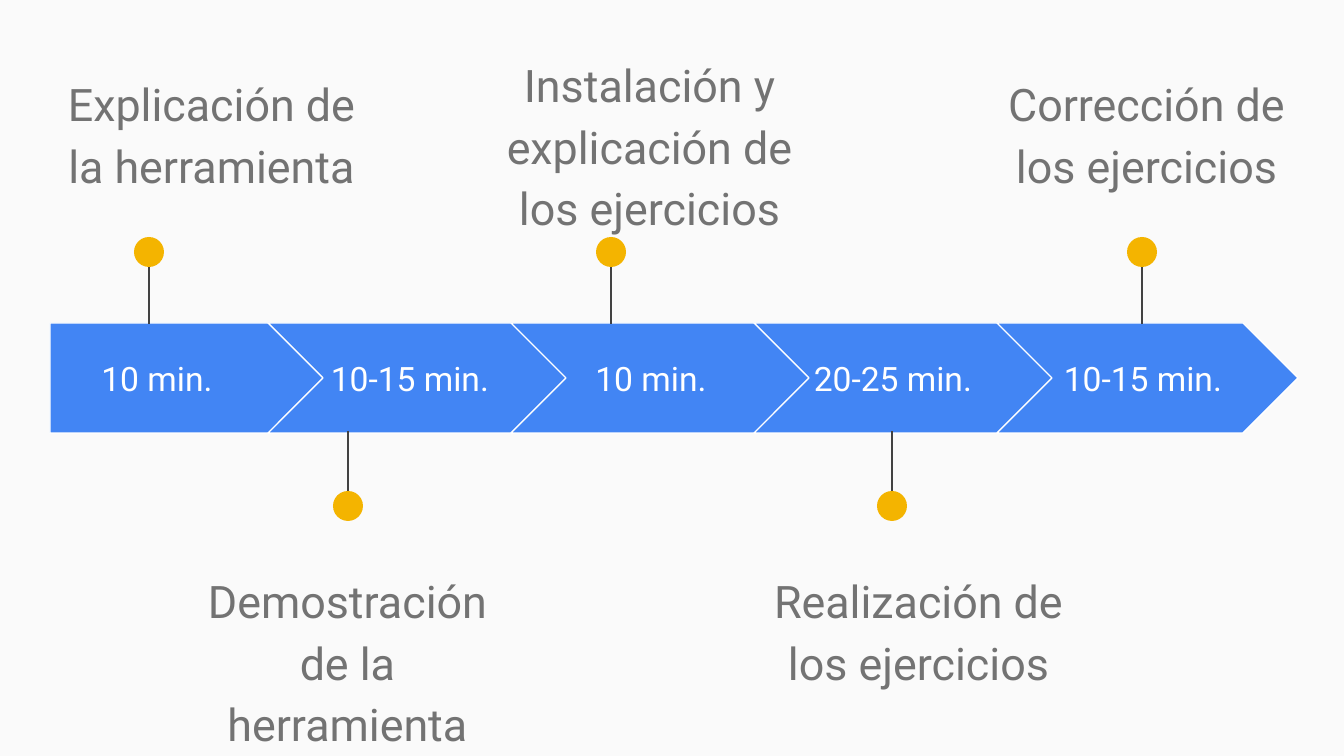
from pptx import Presentation, util as u
from pptx.dml.color import RGBColor
from pptx.enum import shapes, text
from pptx.oxml.ns import qn
from lxml import etree

THEME = dict(
    font="Roboto", background="FAFAFA", arrow="4285F4", edge="FFFFFF",
    stem="424242", dot="F4B400", time="FFFFFF", caption="737373",
    time_size=18, caption_size=24, line_width=0.75,
)

# duration, its left and width, stem x, caption, caption left and top (px)
STEPS = [
    ("10 min.", 50, 214, 149, "Explicación de la herramienta", 47, 55),
    ("10-15 min.", 313, 194, 348, "Demostración de la herramienta", 183, 552),
    ("10 min.", 554, 194, 611, "Instalación y explicación de los ejercicios", 485, 36),
    ("20-25 min.", 796, 194, 892, "Realización de los ejercicios", 754, 552),
    ("10-15 min.", 1046, 194, 1142, "Corrección de los ejercicios", 982, 55),
]

SLIDE_W, SLIDE_H = 1344, 756
BAND_TOP, BAND_H = 323, 110
FIRST_LEFT, FIRST_W = 50, 276
CHEVRON_LEFT, CHEVRON_W, CHEVRON_PITCH = 268, 301, 243
TIME_TOP, TIME_H = 344, 69
CAPTION_W, CAPTION_H = 329, 133
DOT, DOT_TOP_ABOVE, DOT_TOP_BELOW = 30, 237, 491
STEM_ABOVE, STEM_BELOW = (242, 324), (513, 431)


def px(*lengths):
    """Turn pixel lengths into EMU."""
    return [round(length * 914400 / 134.4) for length in lengths]


def color(part):
    return RGBColor.from_string(THEME[part])


def add_filled(parent, kind, box, fill, edge=None):
    shape = parent.add_shape(kind, *px(*box))
    shape.shadow.inherit = False
    shape.fill.solid()
    shape.fill.fore_color.rgb = color(fill)
    if edge:
        shape.line.color.rgb = color(edge)
        shape.line.width = u.Pt(THEME["line_width"])
    else:
        shape.line.fill.background()
    return shape


def add_label(parent, words, box, part, anchor):
    frame = parent.add_textbox(*px(*box)).text_frame
    frame.word_wrap = True
    frame.vertical_anchor = anchor
    frame.margin_left = frame.margin_right = u.Inches(0.1)
    frame.margin_top = frame.margin_bottom = u.Inches(0.1)
    paragraph = frame.paragraphs[0]
    paragraph.alignment = text.PP_ALIGN.CENTER
    run = paragraph.add_run()
    run.text = words
    run.font.name = THEME["font"]
    run.font.size = u.Pt(THEME[part + "_size"])
    run.font.color.rgb = color(part)
    return paragraph


def add_pin(parent, x, above):
    """Group a stem that touches the band with the dot at its far end."""
    pin = parent.add_group_shape().shapes
    start, end = STEM_ABOVE if above else STEM_BELOW
    stem = pin.add_connector(shapes.MSO_CONNECTOR.STRAIGHT, *px(x, start, x, end))
    stem.line.color.rgb = color("stem")
    stem.line.width = u.Pt(THEME["line_width"])
    etree.SubElement(stem.element.spPr, qn("a:effectLst"))
    dot_top = DOT_TOP_ABOVE if above else DOT_TOP_BELOW
    add_filled(pin, shapes.MSO_SHAPE.OVAL, (x - DOT / 2, dot_top, DOT, DOT), "dot")


def main():
    deck = Presentation()
    deck.slide_width, deck.slide_height = px(SLIDE_W, SLIDE_H)
    slide = deck.slides.add_slide(deck.slide_layouts[6])
    slide.background.fill.solid()
    slide.background.fill.fore_color.rgb = color("background")
    parts = slide.shapes

    for i, (time, time_left, time_w, stem_x, caption, left, top) in enumerate(STEPS):
        if i == 0:
            kind, arrow_left, arrow_w = shapes.MSO_SHAPE.PENTAGON, FIRST_LEFT, FIRST_W
        else:
            kind, arrow_w = shapes.MSO_SHAPE.CHEVRON, CHEVRON_W
            arrow_left = CHEVRON_LEFT + (i - 1) * CHEVRON_PITCH
        arrow = add_filled(parts, kind, (arrow_left, BAND_TOP, arrow_w, BAND_H),
                           "arrow", "edge")
        arrow.adjustments[0] = 0.5
        add_label(parts, time, (time_left, TIME_TOP, time_w, TIME_H),
                  "time", text.MSO_ANCHOR.MIDDLE)
        add_pin(parts, stem_x, above=i % 2 == 0)
        paragraph = add_label(parts, caption, (left, top, CAPTION_W, CAPTION_H),
                              "caption", text.MSO_ANCHOR.TOP)
        paragraph.line_spacing = 1.15
        paragraph.space_after = u.Pt(16)

    deck.save("out.pptx")


if __name__ == "__main__":
    main()
